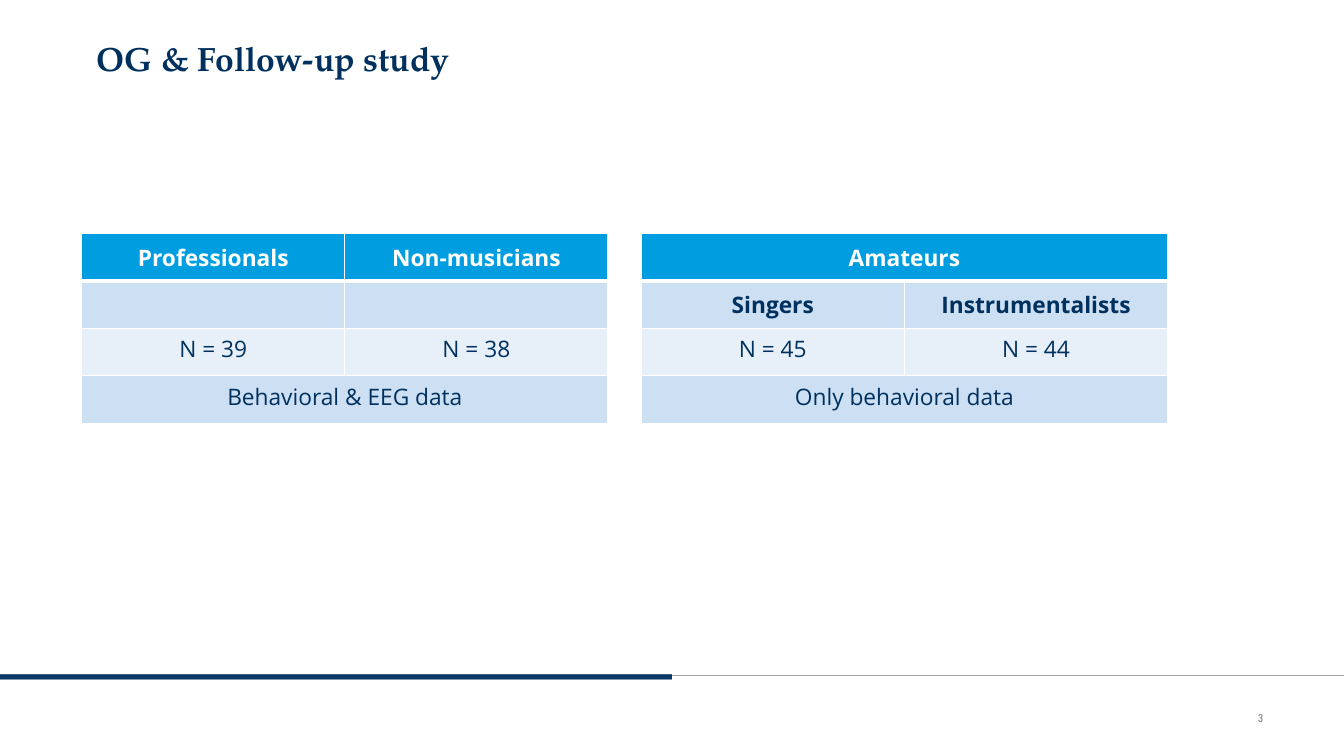
"""Build a slide that compares the groups of the first study and its follow-up."""
import pptx
import pptx.dml.color
import pptx.enum.shapes
import pptx.enum.text
import pptx.oxml
import pptx.oxml.ns
import pptx.util

Inches = pptx.util.Inches
Align = pptx.enum.text.PP_ALIGN
Anchor = pptx.enum.text.MSO_ANCHOR
NAVY, CYAN, WHITE = "00305E", "009EE0", "FFFFFF"
PALE, PALEST = "CCDFF3", "E7F0F9"


def paint(style, colour):
    """Give a fill a solid colour from a hex string."""
    style.solid()
    style.fore_color.rgb = pptx.dml.color.RGBColor.from_string(colour)


def write(para, text, size, font, colour, bold=False, align=Align.LEFT):
    """Put one formatted span of text into a paragraph."""
    para.alignment = align
    span = para.add_run()
    span.text = text
    span.font.size = pptx.util.Pt(size)
    span.font.name = font
    span.font.bold = bold
    paint(span.font.fill, colour)


deck = pptx.Presentation()
deck.slide_width, deck.slide_height = Inches(13.33), Inches(7.5)
page = deck.slides.add_slide(deck.slide_layouts[6])
middle = deck.slide_width // 2

rule_top = Inches(6.7)
rule = page.shapes.add_connector(
    pptx.enum.shapes.MSO_CONNECTOR.STRAIGHT, 0, rule_top, deck.slide_width, rule_top)
rule.line.width = pptx.util.Pt(1)
paint(rule.line.fill, "A6A6A6")
rule._element.spPr.append(pptx.oxml.parse_xml(
    f'<a:effectLst {pptx.oxml.ns.nsdecls("a")}/>'))

for layer in range(2):
    bar = page.shapes.add_shape(
        pptx.enum.shapes.MSO_SHAPE.RECTANGLE, 0, Inches(6.69), middle, Inches(0.05))
    bar.shadow.inherit = False
    bar.line.fill.background()
    paint(bar.fill, NAVY)
    tint = bar._element.spPr.find(".//" + pptx.oxml.ns.qn("a:srgbClr"))
    tint.append(pptx.oxml.parse_xml(
        f'<a:alpha {pptx.oxml.ns.nsdecls("a")} val="80000"/>'))

labels = [
    ((0.96, 0.38, 11.57, 0.75), Anchor.TOP,
     dict(text="OG & Follow-up study", size=24, font="TeX Gyre Pagella",
          colour=NAVY, bold=True)),
    ((11.76, 6.92, 0.77, 0.4), Anchor.MIDDLE,
     dict(text="3", size=8, font="Roboto Condensed", colour="727879",
          align=Align.RIGHT)),
]
for place, anchor, style in labels:
    box = page.shapes.add_textbox(*map(Inches, place))
    frame = box.text_frame
    frame.word_wrap = True
    frame.vertical_anchor = anchor
    frame.margin_left = frame.margin_right = frame.margin_top = frame.margin_bottom = 0
    write(frame.paragraphs[0], **style)

groups = [
    [["Professionals", "Non-musicians"], ["", ""],
     ["N = 39", "N = 38"], ["Behavioral & EEG data"]],
    [["Amateurs"], ["Singers", "Instrumentalists"],
     ["N = 45", "N = 44"], ["Only behavioral data"]],
]
row_fills = [CYAN, PALE, PALEST, PALE]
column_width, row_height = Inches(2.61), Inches(0.47)
table_left, table_top, table_step = Inches(0.81), Inches(2.32), Inches(5.55)

for index, rows in enumerate(groups):
    table = page.shapes.add_table(
        len(rows), 2, table_left + index * table_step, table_top,
        2 * column_width, len(rows) * row_height).table
    for number, (texts, fill) in enumerate(zip(rows, row_fills)):
        heading = number < 2
        for column in range(2):
            cell = table.cell(number, column)
            for side in "LRTB":
                thick = (number, side) in [(0, "B"), (1, "T")]
                cell._tc.get_or_add_tcPr().append(pptx.oxml.parse_xml(
                    f'<a:ln{side} {pptx.oxml.ns.nsdecls("a")} '
                    f'w="{pptx.util.Pt(3 if thick else 1)}"><a:solidFill>'
                    f'<a:srgbClr val="{WHITE}"/></a:solidFill></a:ln{side}>'))
            paint(cell.fill, fill)
            cell.vertical_anchor = Anchor.MIDDLE if heading else Anchor.TOP
        if len(texts) == 1:
            table.cell(number, 0).merge(table.cell(number, 1))
        for column, text in enumerate(texts):
            if text:
                write(table.cell(number, column).text_frame.paragraphs[0], text,
                      size=16.2, font="Open Sans", bold=heading,
                      colour=NAVY if number else WHITE, align=Align.CENTER)

deck.save("out.pptx")
